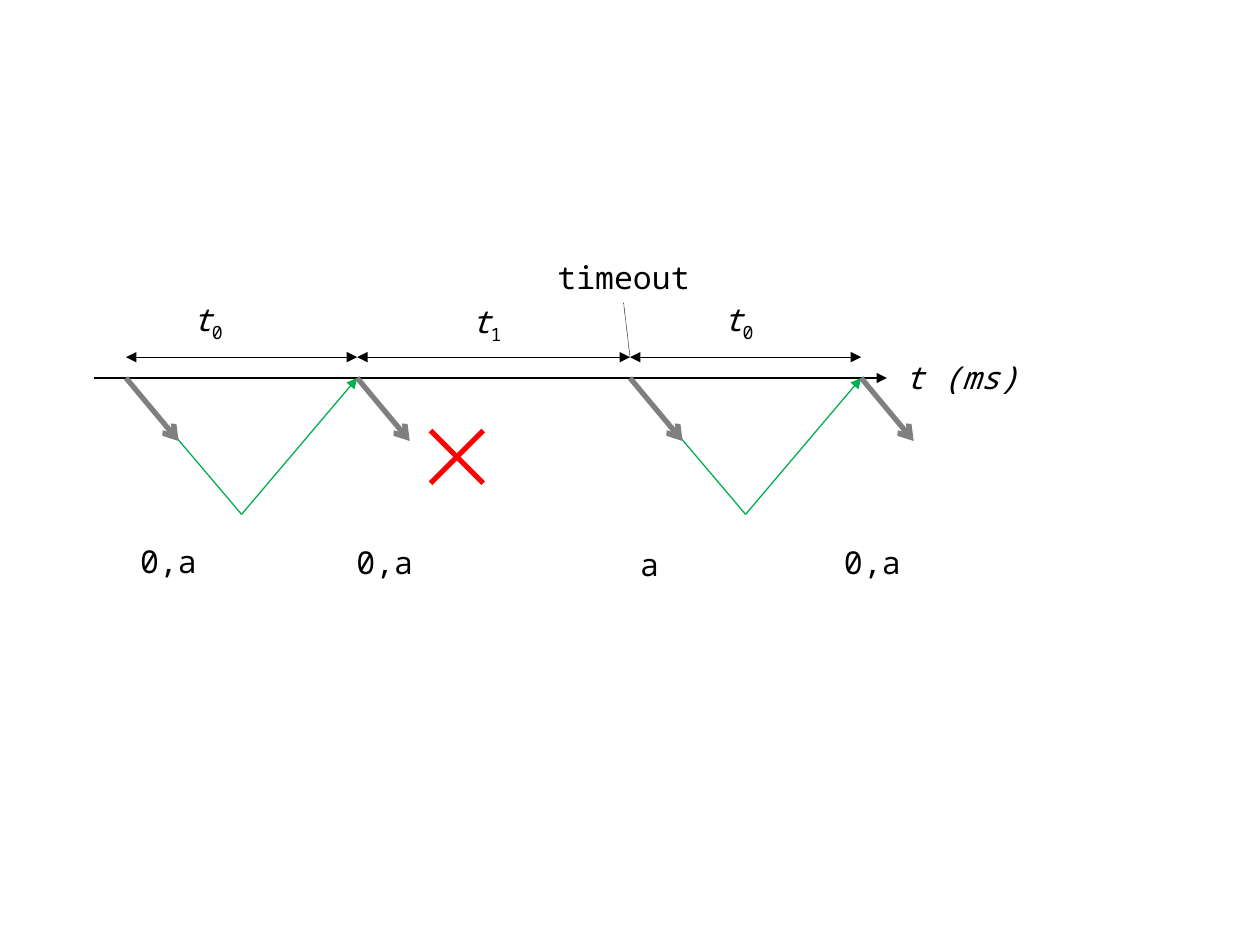
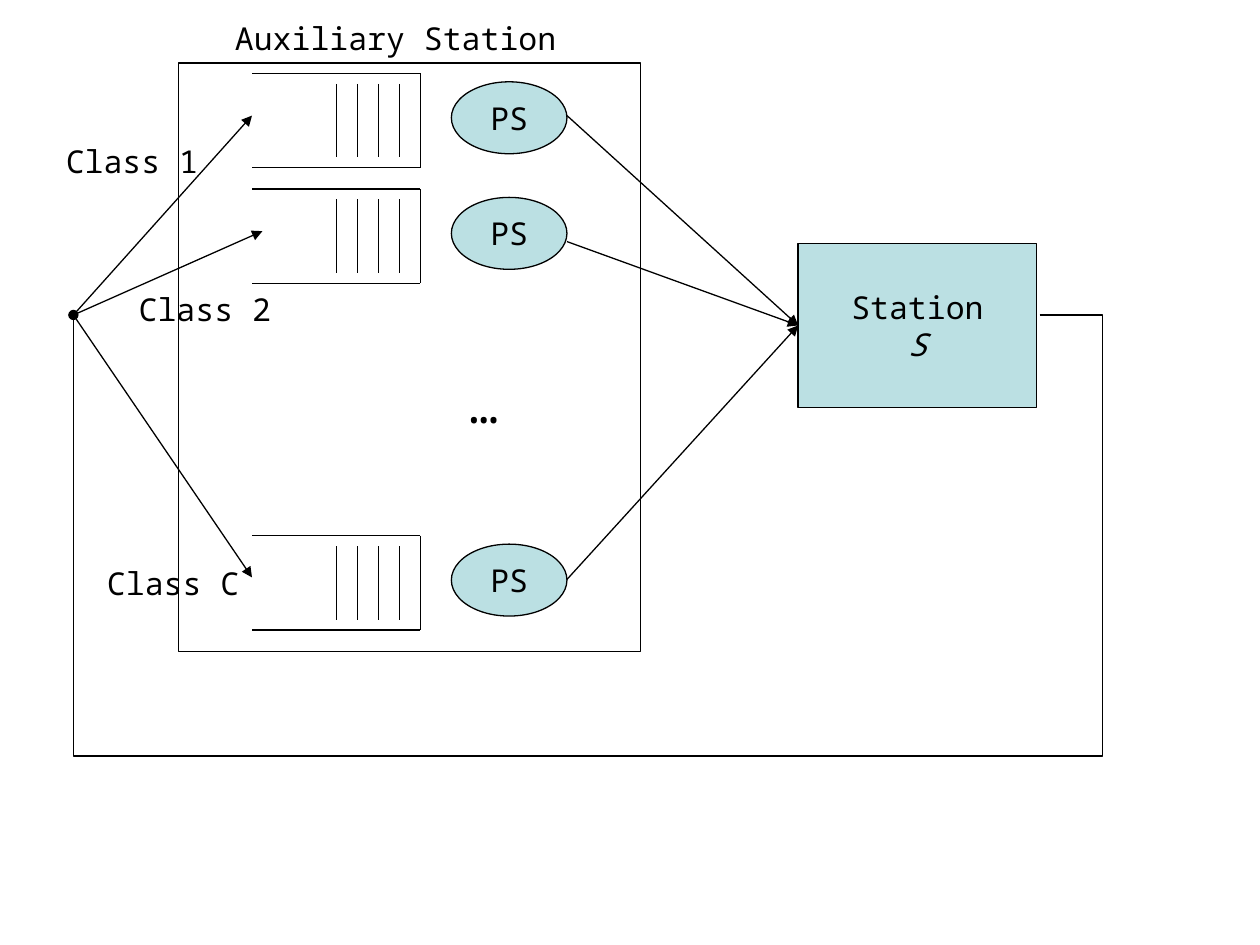
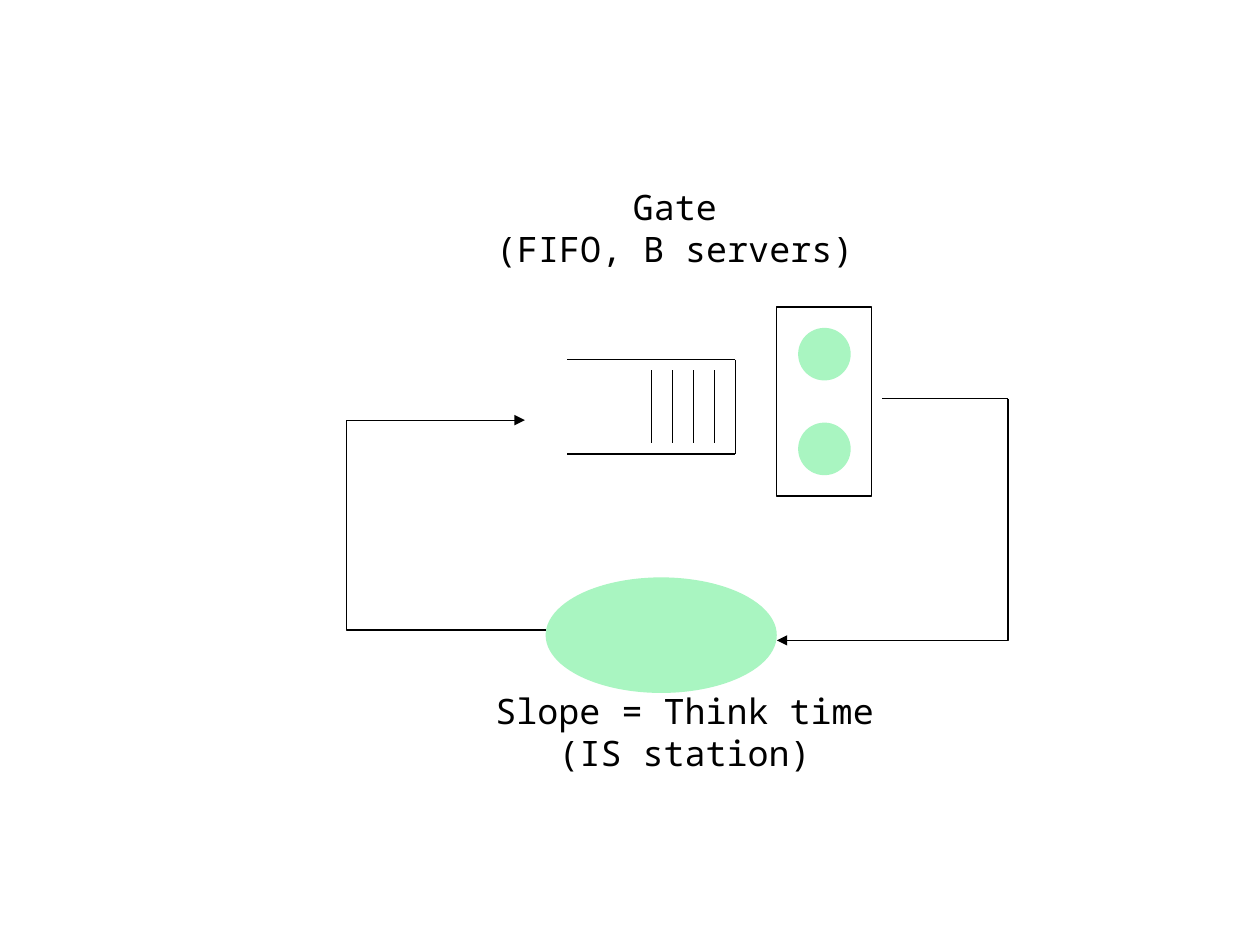
from lxml import etree
from pptx import Presentation
from pptx.dml.color import RGBColor
from pptx.enum import dml, shapes, text
from pptx.oxml.ns import qn
from pptx.util import Cm, Pt

COLORS = {
    "ink": "000000", "return": "00B050", "send": "7F7F7F",
    "loss": "FF0000", "station": "BBE0E3", "slope": "A9F5C1",
}
FONT = "Noto Sans Mono"
RECT = shapes.MSO_SHAPE.RECTANGLE
OVAL = shapes.MSO_SHAPE.OVAL


def stroke(sp, color="ink", width=0.75, head=None, tail=None):
    sp.line.color.rgb = RGBColor.from_string(COLORS[color])
    sp.line.width = Pt(width)
    ln = sp.line._get_or_add_ln()
    for tag, arrow in (("a:headEnd", head), ("a:tailEnd", tail)):
        if arrow:
            etree.SubElement(ln, qn(tag)).set("type", arrow)


def line(s, x1, y1, x2, y2, **style):
    c = s.shapes.add_connector(shapes.MSO_CONNECTOR.STRAIGHT,
                               Cm(x1), Cm(y1), Cm(x2), Cm(y2))
    stroke(c, **style)
    etree.SubElement(c._element.spPr, qn("a:effectLst"))
    return c


prs = Presentation()
prs.slide_width, prs.slide_height = Cm(25.4), Cm(19.05)
timeline, stations, gate = [prs.slides.add_slide(prs.slide_layouts[6]) for _ in range(3)]

# Queue tops on the stations slide
queue_tops = (1.48, 3.81, 10.8)

# Shapes and labels: slide, preset (None for a label), x, y, w, h, fill, outlined,
# paragraphs, size; "/" marks italics and "_" a subscript
items = [
    (stations, RECT, 3.6, 1.27, 9.32, 11.86, None, True, [], 18),
    *[(stations, OVAL, 9.1, top + 0.17, 2.33, 1.45, "station", True, ["PS"], 18)
      for top in queue_tops],
    (gate, OVAL, 11, 11.64, 4.66, 2.33, "slope", False, [], 18),
    (gate, RECT, 15.66, 6.19, 1.91, 3.81, None, True, [], 18),
    *[(gate, OVAL, 16.09, y, 1.06, 1.06, "slope", False, [], 18) for y in (6.61, 8.52)],
    (timeline, None, 17.98, 7.09, 2.82, 1.02, None, False, ["/t (ms)"], 18),
    (timeline, None, 10.98, 5.08, 3.18, 1.02, None, False, ["timeout"], 18),
    *[(timeline, None, x, y, 1.12, 1.12, None, False, [name], 18)
      for x, y, name in ((3.63, 5.92, "/t_0"), (9.25, 5.97, "/t_1"), (14.33, 5.92, "/t_0"))],
    *[(timeline, None, x, y, w, 1.02, None, False, [name], 18)
      for x, y, w, name in ((2.57, 10.8, 1.65, "0,a"), (6.93, 10.82, 1.65, "0,a"),
                            (12.65, 10.87, 0.89, "a"), (16.76, 10.82, 1.65, "0,a"))],
    (stations, None, 8.26, 7.42, 3.02, 1.45, None, False, ["…"], 28),
    (stations, None, 4.47, 0.25, 7.01, 1.02, None, False, ["Auxiliary Station"], 18),
    *[(stations, None, x, y, 3.18, 1.02, None, False, [name], 18)
      for x, y, name in ((1.07, 2.74, "Class 1"), (2.54, 5.72, "Class 2"),
                         (1.9, 11.25, "Class C"))],
    (gate, None, 9.73, 3.61, 7.75, 1.96, None, False, ["Gate", "(FIFO, B servers)"], 20),
    (gate, None, 9.73, 13.77, 8.15, 1.96, None, False,
     ["Slope = Think time", "(IS station)"], 20),
    (stations, RECT, 16.09, 4.91, 4.81, 3.3, "station", True, ["Station", "/S"], 18),
]
for s, preset, x, y, w, h, fill, outlined, paragraphs, size in items:
    box = Cm(x), Cm(y), Cm(w), Cm(h)
    if preset is None:
        sp = s.shapes.add_textbox(*box)
    else:
        sp = s.shapes.add_shape(preset, *box)
        sp.shadow.inherit = False
        if outlined:
            stroke(sp)
        else:
            sp.line.fill.background()
        if fill:
            sp.fill.solid()
            sp.fill.fore_color.rgb = RGBColor.from_string(COLORS[fill])
        else:
            sp.fill.background()
    tf = sp.text_frame
    tf.word_wrap = preset is not None
    for i, entry in enumerate(paragraphs):
        p = tf.add_paragraph() if i else tf.paragraphs[0]
        p.alignment = text.PP_ALIGN.CENTER
        main, _, sub = entry.lstrip("/").partition("_")
        p.text = main
        p.runs[0].font.italic = entry.startswith("/")
        if sub:
            r = p.add_run()
            r.text = sub
            r._r.get_or_add_rPr().set("baseline", "-25000")
        for r in p.runs:
            r.font.name, r.font.size = FONT, Pt(size)
            r.font.color.rgb = RGBColor.from_string(COLORS["ink"])
station = sp

# Timeline: axis, round trips, sends, loss cross, spans and timeout pointer
axis_y, span_y = 7.62, 7.2
sends = (2.54, 7.2, 12.7, 17.36)
line(timeline, 1.9, axis_y, 17.88, axis_y, tail="triangle")
for start, end in (sends[:2], sends[2:]):
    apex = (start + end) / 2
    line(timeline, start, axis_y, apex, 10.37, color="return")
    line(timeline, end, axis_y, apex, 10.37, color="return", head="triangle")
for x in sends:
    line(timeline, x, axis_y, x + 1.06, axis_y + 1.27, color="send", width=3, tail="arrow")
for y1, y2 in ((8.68, 9.74), (9.74, 8.68)):
    line(timeline, 9.74, y1, 8.68, y2, color="loss", width=3)
for start, end in zip(sends, sends[1:]):
    line(timeline, start, span_y, end, span_y, head="triangle", tail="triangle")
pointer = line(timeline, 12.57, 6.1, 12.7, span_y, width=0.25)
pointer.line.dash_style = dml.MSO_LINE.SQUARE_DOT

# Queues: open box with four waiting jobs
for s, left, top in [(stations, 5.08, y) for y in queue_tops] + [(gate, 11.43, 7.25)]:
    right, bottom = left + 3.39, top + 1.9
    line(s, left, top, right, top)
    line(s, left, bottom, right, bottom)
    line(s, right, top, right, bottom)
    for i in range(1, 5):
        x = right - 0.42 * i
        line(s, x, top + 0.21, x, bottom - 0.21)

# Flows into the queues and from the servers to the station
for x, y in ((5.08, 2.33), (5.29, 4.66), (5.08, 11.64)):
    line(stations, 1.48, 6.35, x, y, tail="triangle")
for y in (2.33, 4.87, 11.68):
    c = line(stations, 11.43, y, 16.09, 6.56, tail="triangle")
    c.end_connect(station, 1)

# Flows around the gate
line(gate, 6.99, 8.47, 10.58, 8.47, tail="triangle")
line(gate, 17.78, 8.04, 20.32, 8.04)

# Bent return paths
for s, points, tail in (
    (stations, [(20.96, 6.35), (22.23, 6.35), (22.23, 15.24), (1.48, 15.24), (1.48, 6.35)],
     "oval"),
    (gate, [(20.32, 8.04), (20.32, 12.91), (15.66, 12.91)], "triangle"),
    (gate, [(11, 12.7), (6.99, 12.7), (6.99, 8.47)], None),
):
    corners = [(Cm(x), Cm(y)) for x, y in points]
    fb = s.shapes.build_freeform(*corners[0])
    fb.add_line_segments(corners[1:], close=False)
    sp = fb.convert_to_shape()
    sp.shadow.inherit = False
    sp.fill.background()
    stroke(sp, tail=tail)

prs.save("out.pptx")
